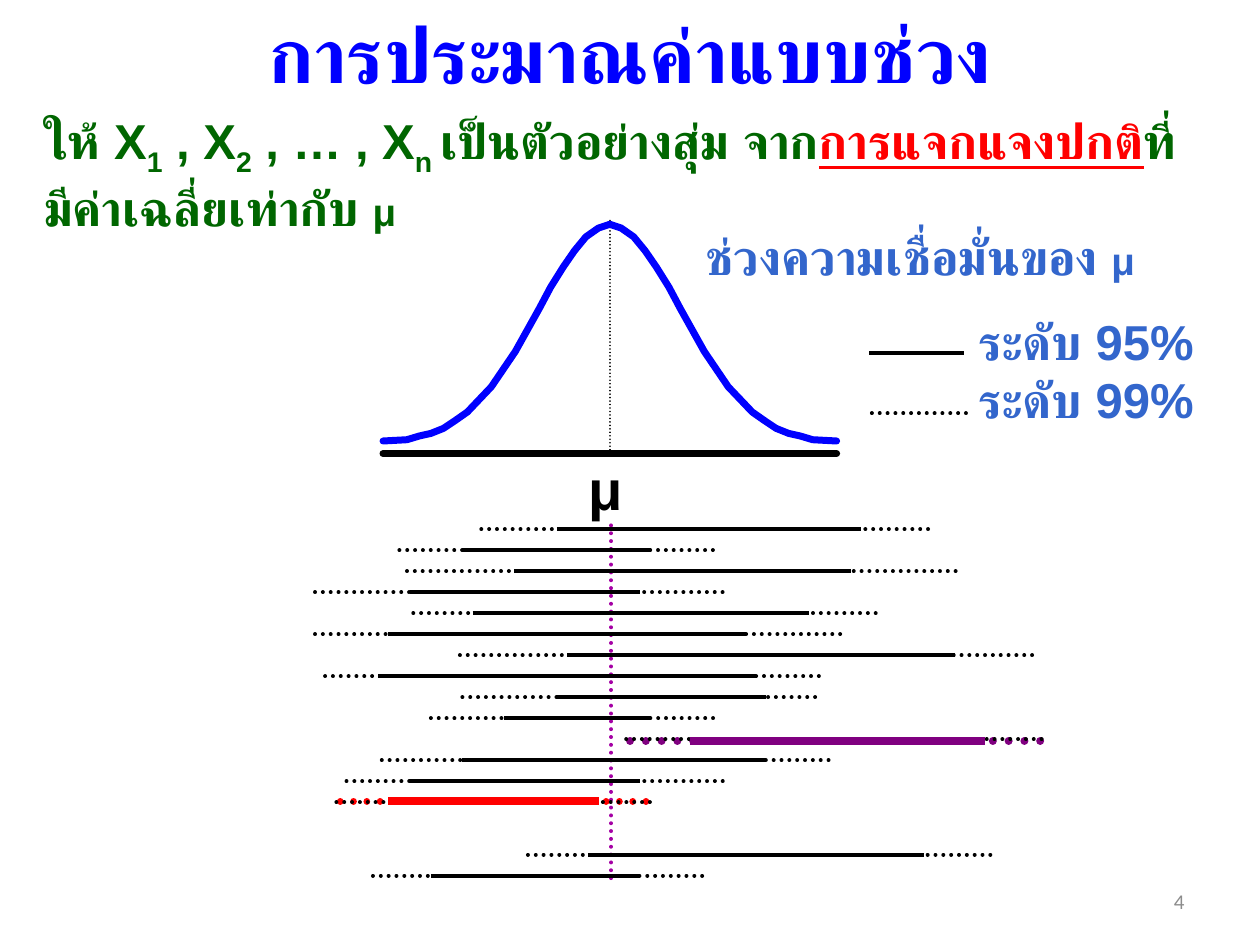
from pptx import Presentation
from pptx.dml.color import RGBColor
from pptx.enum.dml import MSO_LINE
from pptx.enum.shapes import MSO_CONNECTOR
from pptx.enum.text import MSO_ANCHOR, MSO_AUTO_SIZE, PP_ALIGN
from pptx.oxml.ns import qn
from pptx.util import Inches, Pt
from lxml.etree import SubElement

BLACK = RGBColor(0x00, 0x00, 0x00)
BLUE = RGBColor(0x00, 0x00, 0xFF)
GREEN = RGBColor(0x00, 0x66, 0x00)
RED = RGBColor(0xFF, 0x00, 0x00)
PURPLE = RGBColor(0x80, 0x00, 0x80)
MAGENTA = RGBColor(0xA4, 0x00, 0xA4)
LABEL_BLUE = RGBColor(0x33, 0x66, 0xCC)
GREY = RGBColor(0x8C, 0x8C, 0x8C)

MEAN = 4.84
FIRST_ROW = 4.2
ROW_GAP = 1 / 6

INTERVALS = [
    (0, (4.42, 6.83), (3.82, 7.4)),
    (1, (3.67, 5.17), (3.17, 5.67)),
    (2, (4.08, 6.75), (3.23, 7.64)),
    (3, (3.25, 5.08), (2.5, 5.75)),
    (4, (3.75, 6.42), (3.28, 6.95)),
    (5, (3.08, 5.92), (2.5, 6.67)),
    (6, (4.5, 7.58), (3.65, 8.25)),
    (7, (3, 6), (2.58, 6.5)),
    (8, (4.42, 6.08), (3.67, 6.5)),
    (9, (4, 5.17), (3.42, 5.67)),
    (10, (5.49, 7.75), (4.97, 8.3)),
    (11, (3.67, 6.08), (3.03, 6.62)),
    (12, (3.25, 5.08), (2.75, 6.2 - 0.45)),
    (13, (3.08, 4.75), (2.67, 5.17)),
    (15.5, (4.67, 7.33), (4.19, 7.86)),
    (16.5, (3.42, 5.08), (2.96, 5.63)),
]
MISSES = [
    (5.88, (5.48, 7.82), (5, 8.33), PURPLE, 4.5),
    (6.36, (3.08, 4.75), (2.7, 5.2), RED, 3.8),
]
CURVE = [
    (1.8, 3.5), (1.61, 3.49), (1.51, 3.46), (1.42, 3.44),
    (1.32, 3.4), (1.23, 3.34), (1.13, 3.27), (0.94, 3.07),
    (0.75, 2.79), (0.56, 2.45), (0.47, 2.28), (0.37, 2.12),
    (0.28, 1.99), (0.19, 1.88), (0.09, 1.81), (0, 1.78),
]


def place(shape, left, top, width, height):
    shape.left, shape.top = Inches(left), Inches(top)
    shape.width, shape.height = Inches(width), Inches(height)


def write_text(shape, runs, *, size=28, color=BLACK, bold=True, font="Arial",
               align=PP_ALIGN.LEFT, anchor=MSO_ANCHOR.TOP, spacing=1.0):
    frame = shape.text_frame
    frame.word_wrap = True
    frame.auto_size = MSO_AUTO_SIZE.NONE
    frame.vertical_anchor = anchor
    paragraph = frame.paragraphs[0]
    paragraph.alignment = align
    paragraph.line_spacing = spacing
    paragraph.space_before = Pt(0)
    for text, changes in runs:
        run = paragraph.add_run()
        run.text = text
        run.font.name = font
        run.font.size = Pt(changes.get("size", size))
        run.font.bold = bold
        run.font.color.rgb = changes.get("color", color)
        if changes.get("underline"):
            run.font.underline = True
        if changes.get("subscript"):
            run.font._element.set("baseline", "-25000")
    return paragraph


def add_label(slide, box, runs, **style):
    shape = slide.shapes.add_textbox(*(Inches(value) for value in box))
    return write_text(shape, runs, **style)


def style_line(shape, color, width, dotted=False, rounded=False):
    shape.line.color.rgb = color
    shape.line.width = Pt(width)
    if dotted:
        shape.line.dash_style = MSO_LINE.ROUND_DOT
    properties = shape._element.spPr
    if dotted or rounded:
        properties.find(qn("a:ln")).set("cap", "rnd")
    SubElement(properties, qn("a:effectLst"))


def add_line(slide, start, end, color=BLACK, width=2.25, **style):
    points = [Inches(value) for value in (*start, *end)]
    line = slide.shapes.add_connector(MSO_CONNECTOR.STRAIGHT, *points)
    style_line(line, color, width, **style)


def add_span(slide, span, y, **style):
    add_line(slide, (span[0], y), (span[1], y), **style)


def add_half_curve(slide, side):
    points = [(Inches(MEAN + side * offset), Inches(y)) for offset, y in CURVE]
    builder = slide.shapes.build_freeform(*points[0])
    builder.add_line_segments(points[1:], close=False)
    curve = builder.convert_to_shape()
    curve.fill.background()
    style_line(curve, BLUE, 4, rounded=True)


def add_distribution(slide):
    add_line(slide, (MEAN, 1.75), (MEAN, 3.58), width=1, dotted=True)
    for side in (1, -1):
        add_half_curve(slide, side)
    add_span(slide, (3.04, 6.64), 3.6, width=4, rounded=True)
    add_label(slide, (4.52, 3.56, 0.58, 0.64), [("μ", {})], size=32,
              align=PP_ALIGN.CENTER)


def add_intervals(slide):
    for y, _, outer, color, width in MISSES:
        add_span(slide, outer, y, color=color, width=width, dotted=True)
    add_line(slide, (4.85, 4.17), (4.85, 7), color=MAGENTA, dotted=True)
    for row, inner, outer in INTERVALS:
        y = FIRST_ROW + row * ROW_GAP
        add_span(slide, inner, y)
        add_span(slide, outer, y, dotted=True)
    for y, inner, _, color, _ in MISSES:
        add_span(slide, inner, y, color=color, width=4.5)


def add_legend(slide):
    add_label(slide, (5.5, 1.75, 4.17, 0.73),
              [("ช่วงความเชื่อมั่นของ ", {}), ("μ", {"size": 22})], color=LABEL_BLUE)
    levels = [("ระดับ 95%", 2.42, 6.9, 2.8, False),
              ("ระดับ 99%", 2.88, 6.92, 3.28, True)]
    for text, top, left, y, dotted in levels:
        add_label(slide, (7.67, top, 2, 0.57), [(text, {})], color=LABEL_BLUE)
        add_span(slide, (left, left + 0.75), y, dotted=dotted)


def add_heading(slide):
    title = slide.shapes.title
    place(title, 0.25, 0.08, 9.5, 0.81)
    write_text(title, [("การประมาณค่าแบบช่วง", {})], size=44, color=BLUE,
               align=PP_ALIGN.CENTER, anchor=MSO_ANCHOR.MIDDLE, spacing=0.8)
    body = slide.placeholders[1]
    place(body, 0.25, 0.83, 9.4, 0.57)
    properties = body.text_frame.paragraphs[0]._p.get_or_add_pPr()
    properties.set("marL", "0")
    properties.set("indent", "0")
    SubElement(properties, qn("a:buNone"))
    subscript = {"subscript": True}
    write_text(body, [
        ("ให้ X", {}), ("1", subscript), (" , X", {}), ("2", subscript),
        (" , … , X", {}), ("n ", subscript), ("เป็นตัวอย่างสุ่ม จาก", {}),
        ("การแจกแจงปกติ", {"color": RED, "underline": True}),
        ("ที่มีค่าเฉลี่ยเท่ากับ ", {}), ("μ", {"size": 22}),
    ], color=GREEN)


def main():
    presentation = Presentation()
    presentation.slide_width = Inches(10)
    presentation.slide_height = Inches(7.5)
    slide = presentation.slides.add_slide(presentation.slide_layouts[1])
    add_heading(slide)
    add_distribution(slide)
    add_intervals(slide)
    add_legend(slide)
    add_label(slide, (7.17, 6.95, 2.33, 0.4), [("4", {})], size=12, color=GREY,
              bold=False, font="Calibri", align=PP_ALIGN.RIGHT,
              anchor=MSO_ANCHOR.MIDDLE)
    presentation.save("out.pptx")


if __name__ == "__main__":
    main()
